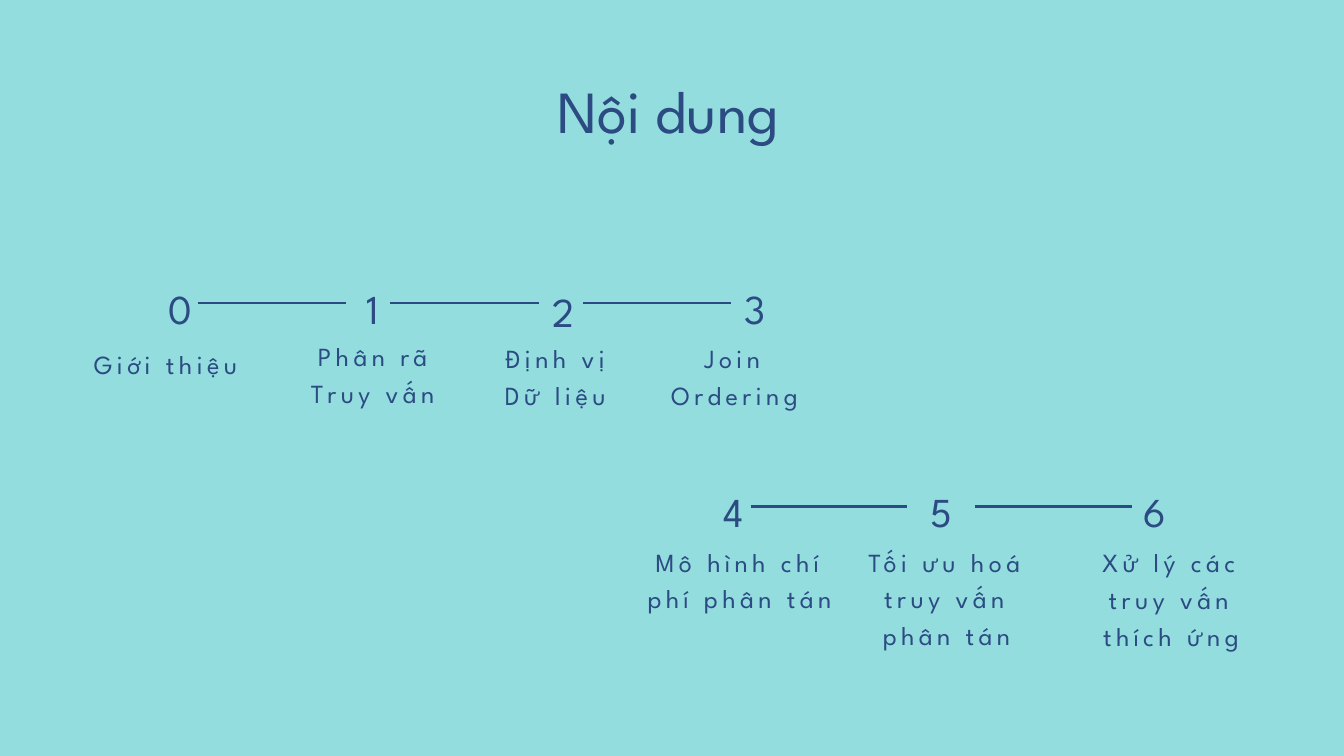
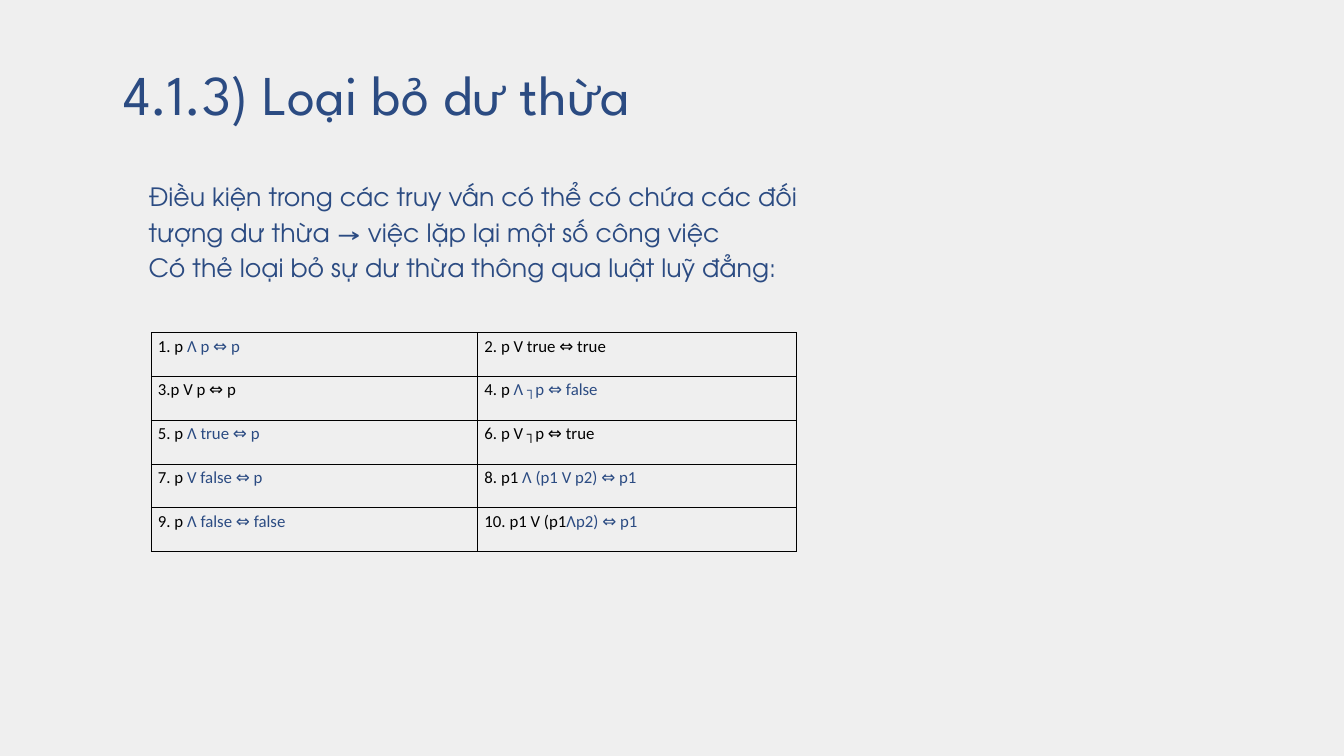
from dataclasses import dataclass

from lxml.etree import SubElement
from pptx import Presentation
from pptx.dml.color import RGBColor
from pptx.enum.shapes import MSO_CONNECTOR
from pptx.enum.text import PP_ALIGN
from pptx.oxml import parse_xml
from pptx.oxml.ns import nsdecls, qn
from pptx.util import Pt


@dataclass(frozen=True)
class TextStyle:
    font: str
    size: float
    line_spacing: float
    align: PP_ALIGN = PP_ALIGN.LEFT
    tracking: float = 0


class Theme:
    navy = RGBColor.from_string("2B4B82")
    black = RGBColor.from_string("000000")
    aqua = RGBColor.from_string("94DDDE")
    grey = RGBColor.from_string("EFEFEF")
    agenda_title = TextStyle("League Spartan", 64, 76.8, PP_ALIGN.CENTER)
    section_title = TextStyle("League Spartan", 60.2, 72.3)
    step_number = TextStyle("League Spartan", 44, 61.6, PP_ALIGN.CENTER, 7.5)
    step_label = TextStyle("League Spartan", 28, 39.2, PP_ALIGN.CENTER, 4.8)
    body = TextStyle("TeX Gyre Adventor", 27, 37.8)
    table_font = {"name": "Calibri", "size": Pt(18)}
    line_width = 3
    border_width = 1


NUMBER_HEIGHT = 60.5

# Each step: number, its box (left, top, width), label lines, label box (left, top, width)
FIRST_STEPS = [
    ("0", (175.7, 294.5, 36), ["Giới thiệu"], (80.6, 367.2, 193.7)),
    ("1", (381.6, 294.5, 36), ["Phân rã", "Truy vấn"], (304.6, 359.3, 189.4)),
    ("2", (585.4, 298, 36), ["Định vị", "Dữ liệu"], (498.2, 361.4, 193.7)),
    ("3", (790.6, 294.5, 36), ["Join Ordering"], (693.4, 361.4, 187.2)),
]
LAST_STEPS = [
    ("4", (768.2, 512.6, 36), ["Mô hình chí phí phân tán"], (686.9, 579.6, 211)),
    ("5", (983.5, 512, 49.7), ["Tối ưu hoá truy vấn phân tán"], (917.3, 579.6, 193.7)),
    ("6", (1212.5, 512.6, 49.7), ["Xử lý các truy vấn thích ứng"], (1157.8, 580.3, 193.7)),
]

# Each law: black text, then navy text
LAWS = [
    [("1. p ", "Λ p ⇔ p"), ("2. p V true ⇔ true", "")],
    [("3.p V p ⇔ p", ""), ("4. p ", "Λ ┐p ⇔ false")],
    [("5. p ", "Λ true ⇔ p"), ("6. p V ┐p ⇔ true", "")],
    [("7. p ", "V false ⇔ p"), ("8. p1 ", "Λ (p1 V p2) ⇔ p1")],
    [("9. p ", "Λ false ⇔ false"), ("10. p1 V (p1", "Λp2) ⇔ p1")],
]


def set_attributes(target, values):
    for name, value in values.items():
        setattr(target, name, value)


def add_slide(presentation, background):
    slide = presentation.slides.add_slide(presentation.slide_layouts[6])
    slide.background.fill.solid()
    slide.background.fill.fore_color.rgb = background
    return slide


def add_run(paragraph, text, color, font_values):
    run = paragraph.add_run()
    run.text = text
    set_attributes(run.font, font_values)
    run.font.color.rgb = color
    return run


def add_text(slide, box, lines, style):
    shape = slide.shapes.add_textbox(*map(Pt, box))
    frame = shape.text_frame
    margins = ("margin_left", "margin_top", "margin_right", "margin_bottom")
    set_attributes(frame, {"word_wrap": True, **dict.fromkeys(margins, 0)})
    for index, line in enumerate(lines):
        paragraph = frame.add_paragraph() if index else frame.paragraphs[0]
        set_attributes(paragraph, {"alignment": style.align,
                                   "line_spacing": Pt(style.line_spacing)})
        run = add_run(paragraph, line, Theme.navy,
                      {"name": style.font, "size": Pt(style.size)})
        if style.tracking:
            run.font._element.set("spc", str(round(style.tracking * 100)))
    return shape


def add_link(slide, left, right, y, previous_number, next_number):
    link = slide.shapes.add_connector(
        MSO_CONNECTOR.STRAIGHT, Pt(left), Pt(y), Pt(right), Pt(y))
    link.line.color.rgb = Theme.navy
    link.line.width = Pt(Theme.line_width)
    SubElement(link._element.spPr, qn("a:effectLst"))
    # Join only the ends that meet a number box
    if abs(previous_number.left + previous_number.width - Pt(left)) < Pt(1):
        link.begin_connect(previous_number, 3)
    if abs(next_number.left - Pt(right)) < Pt(1):
        link.end_connect(next_number, 1)


def add_timeline(slide, steps, label_height, link_left, link_pitch, link_length):
    numbers = []
    for number, number_box, label, label_box in steps:
        add_text(slide, (*label_box, label_height), label, Theme.step_label)
        numbers.append(add_text(slide, (*number_box, NUMBER_HEIGHT), [number],
                                Theme.step_number))
    link_y = steps[0][1][1] + NUMBER_HEIGHT / 2
    for index, (previous, following) in enumerate(zip(numbers, numbers[1:])):
        left = link_left + index * link_pitch
        add_link(slide, left, left + link_length, link_y, previous, following)


def add_borders(cell):
    properties = cell._tc.get_or_add_tcPr()
    for index, side in enumerate("LRTB"):
        properties.insert(index, parse_xml(
            f'<a:ln{side} {nsdecls("a")} w="{Pt(Theme.border_width)}">'
            f'<a:solidFill><a:srgbClr val="{Theme.black}"/></a:solidFill></a:ln{side}>'))


def add_law_table(slide, left, top, column_widths, row_height):
    table = slide.shapes.add_table(
        len(LAWS), len(column_widths), Pt(left), Pt(top),
        Pt(sum(column_widths)), Pt(row_height * len(LAWS))).table
    set_attributes(table, {"first_row": False, "horz_banding": False})
    for column, width in zip(table.columns, column_widths):
        column.width = Pt(width)
    for row, laws in zip(table.rows, LAWS):
        row.height = Pt(row_height)
        for cell, law in zip(row.cells, laws):
            cell.fill.background()
            add_borders(cell)
            for text, color in zip(law, (Theme.black, Theme.navy)):
                if text:
                    add_run(cell.text_frame.paragraphs[0], text, color, Theme.table_font)


def build_agenda(presentation):
    slide = add_slide(presentation, Theme.aqua)
    add_text(slide, (80.6, 79.2, 1270.8, 78.5), ["Nội dung"], Theme.agenda_title)
    add_timeline(slide, FIRST_STEPS, 77, 212.4, 206, 158.8)
    add_timeline(slide, LAST_STEPS, 116.6, 804.2, 240.5, 167.8)


def build_redundancy(presentation):
    slide = add_slide(presentation, Theme.grey)
    add_text(slide, (131.8, 63.4, 721.4, 72.7), ["4.1.3) Loại bỏ dư thừa"],
             Theme.section_title)
    add_text(slide, (159.1, 189.4, 721.4, 151.9), [
        "Điều kiện trong các truy vấn có thể có chứa các đối tượng dư thừa"
        " → việc lặp lại một số công việc",
        "Có thẻ loại bỏ sự dư thừa thông qua luật luỹ đẳng:",
    ], Theme.body)
    add_law_table(slide, 162, 356.4, (349.9, 341.3), 46.9)


def main():
    presentation = Presentation()
    set_attributes(presentation, {"slide_width": Pt(1440), "slide_height": Pt(810)})
    build_agenda(presentation)
    build_redundancy(presentation)
    presentation.save("out.pptx")


if __name__ == "__main__":
    main()
